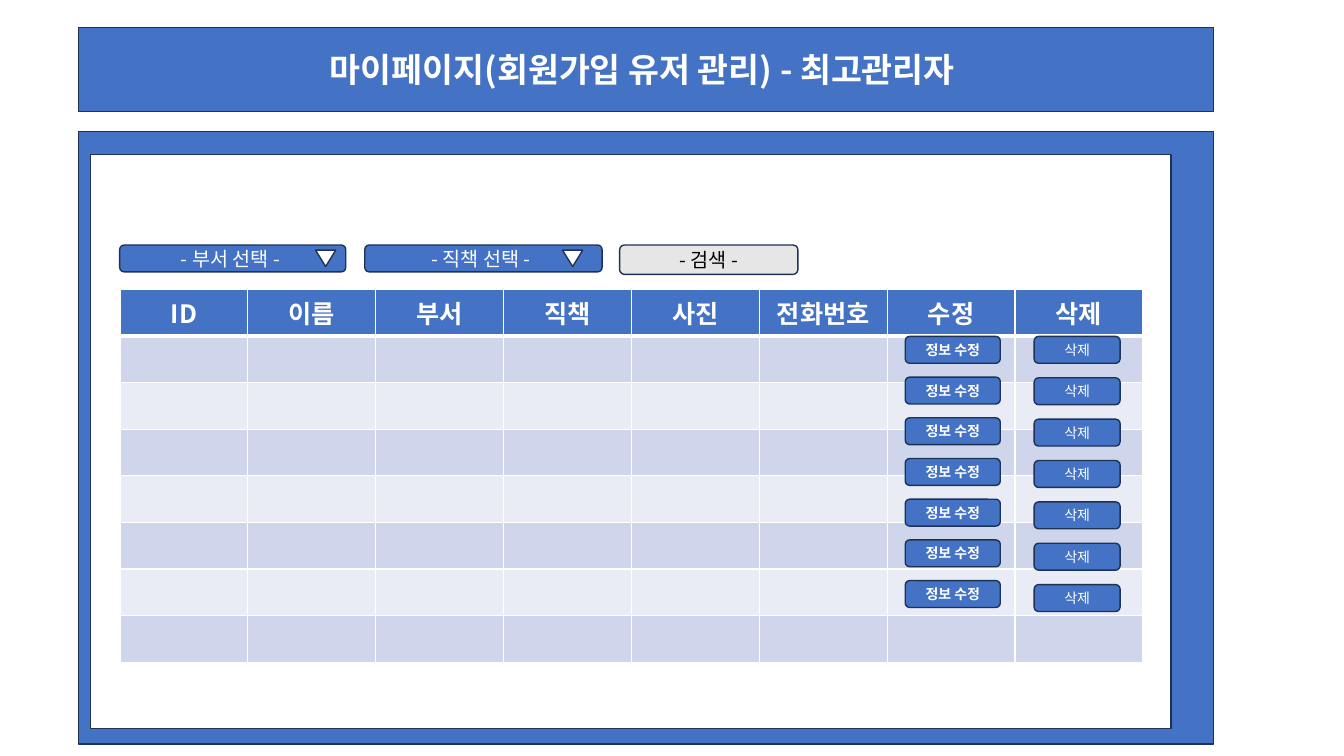
from dataclasses import dataclass

from lxml import etree
from pptx import Presentation
from pptx.dml.color import RGBColor
from pptx.enum.shapes import MSO_SHAPE
from pptx.enum.text import MSO_ANCHOR, PP_ALIGN
from pptx.oxml.ns import qn
from pptx.util import Pt

RECT = MSO_SHAPE.RECTANGLE
ROUNDED = MSO_SHAPE.ROUNDED_RECTANGLE
TRIANGLE = MSO_SHAPE.ISOSCELES_TRIANGLE
CENTER = PP_ALIGN.CENTER
MIDDLE = MSO_ANCHOR.MIDDLE


@dataclass(frozen=True)
class Theme:
    font: str = "Noto Sans CJK KR"
    blue: str = "4472C4"
    outline: str = "1E3256"
    white: str = "FFFFFF"
    black: str = "000000"
    gray: str = "E7E6E6"
    bands: tuple = ("CFD5EA", "E9EBF5")
    title: int = 24
    header: int = 18
    control: int = 14
    button: int = 10


theme = Theme()


def write(frame, text, size, color, bold=False):
    paragraph = frame.paragraphs[0]
    paragraph.alignment = CENTER
    run = paragraph.add_run()
    run.text = text
    run.font.size = Pt(size)
    run.font.bold = bold
    run.font.name = theme.font
    run.font.color.rgb = RGBColor.from_string(color)
    etree.SubElement(run._r.get_or_add_rPr(), qn("a:ea"), typeface=theme.font)


def add_box(shapes, kind, left, top, width, height, fill):
    box = shapes.add_shape(kind, Pt(left), Pt(top), Pt(width), Pt(height))
    box.shadow.inherit = False
    box.fill.solid()
    box.fill.fore_color.rgb = RGBColor.from_string(fill)
    box.line.color.rgb = RGBColor.from_string(theme.outline)
    box.line.width = Pt(1)
    box.text_frame.word_wrap = True
    box.text_frame.vertical_anchor = MIDDLE
    return box


deck = Presentation()
deck.slide_width, deck.slide_height = Pt(960), Pt(540)
slide = deck.slides.add_slide(deck.slide_layouts[6])
shapes = slide.shapes

# Page frame and title bar
add_box(shapes, RECT, 56.2, 93.7, 810.7, 437.8, theme.blue)
title_bar = add_box(shapes, RECT, 56.2, 19.6, 810.7, 59.9, theme.blue)
write(title_bar.text_frame, "마이페이지(회원가입 유저 관리) - 최고관리자 ",
      theme.title, theme.white, True)
add_box(shapes, RECT, 64.8, 110.2, 771.8, 410.4, theme.white)

# Member table
headings = ["ID", "이름", "부서", "직책", "사진", "전화번호", "수정", "삭제"]
row_count = 8
column_width, row_height = 91.35, 33.3
members = shapes.add_table(
    row_count, len(headings), Pt(85.7), Pt(206.8),
    Pt(column_width * len(headings)), Pt(row_height * row_count)).table
for column in members.columns:
    column.width = Pt(column_width)
for row_index, row in enumerate(members.rows):
    row.height = Pt(row_height)
    for column_index, cell in enumerate(row.cells):
        # Thin white grid with a heavier rule under the header
        thickness = {"lnL": 1, "lnR": 1,
                     "lnT": 3 if row_index == 1 else 1,
                     "lnB": 3 if row_index == 0 else 1}
        properties = cell._tc.get_or_add_tcPr()
        for side, points in thickness.items():
            border = etree.SubElement(properties, qn(f"a:{side}"), w=str(Pt(points)))
            paint = etree.SubElement(border, qn("a:solidFill"))
            etree.SubElement(paint, qn("a:srgbClr"), val=theme.white)
        cell.fill.solid()
        if row_index == 0:
            fill = theme.blue
            write(cell.text_frame, headings[column_index],
                  theme.header, theme.white, True)
        else:
            fill = theme.bands[(row_index - 1) % 2]
        cell.fill.fore_color.rgb = RGBColor.from_string(fill)

# Edit and delete buttons: label, left, width, step, bold
button_columns = [("삭제", 738.7, 61.4, 29.55, False),
                  ("정보 수정", 646.6, 67.9, 29.07, True)]
for label, left, width, step, bold in button_columns:
    for index in range(7):
        button = add_box(shapes, ROUNDED, left, 240.3 + index * step,
                         width, 19.2, theme.blue)
        write(button.text_frame, label, theme.button, theme.white, bold)

# Filter drop-downs: label, left, width, arrow left
filters = [("- 부서 선택 - ", 85.5, 161.5, 225.4),
           ("- 직책 선택 - ", 260.6, 169.5, 401.8)]
for label, left, width, arrow_left in filters:
    dropdown = shapes.add_group_shape().shapes
    field = add_box(dropdown, ROUNDED, left, 175, width, 19.2, theme.blue)
    write(field.text_frame, label, theme.control, theme.white)
    arrow = add_box(dropdown, TRIANGLE, arrow_left, 178.7, 14.4, 11.7, theme.white)
    arrow.rotation = 180

# Search button
search = add_box(shapes, ROUNDED, 442.6, 175, 127.4, 21, theme.gray)
write(search.text_frame, "- 검색 -", theme.control, theme.black)

deck.save("out.pptx")
